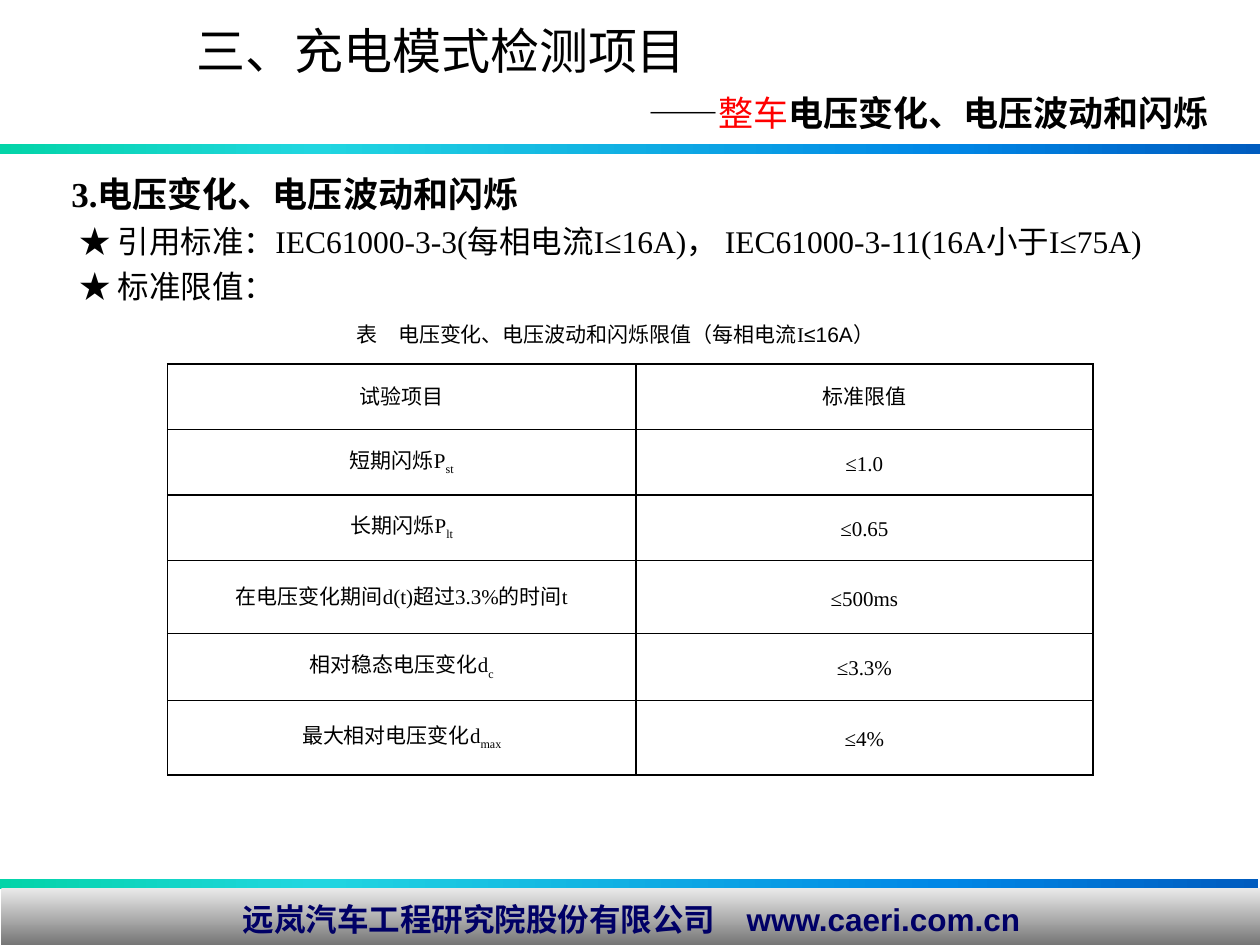
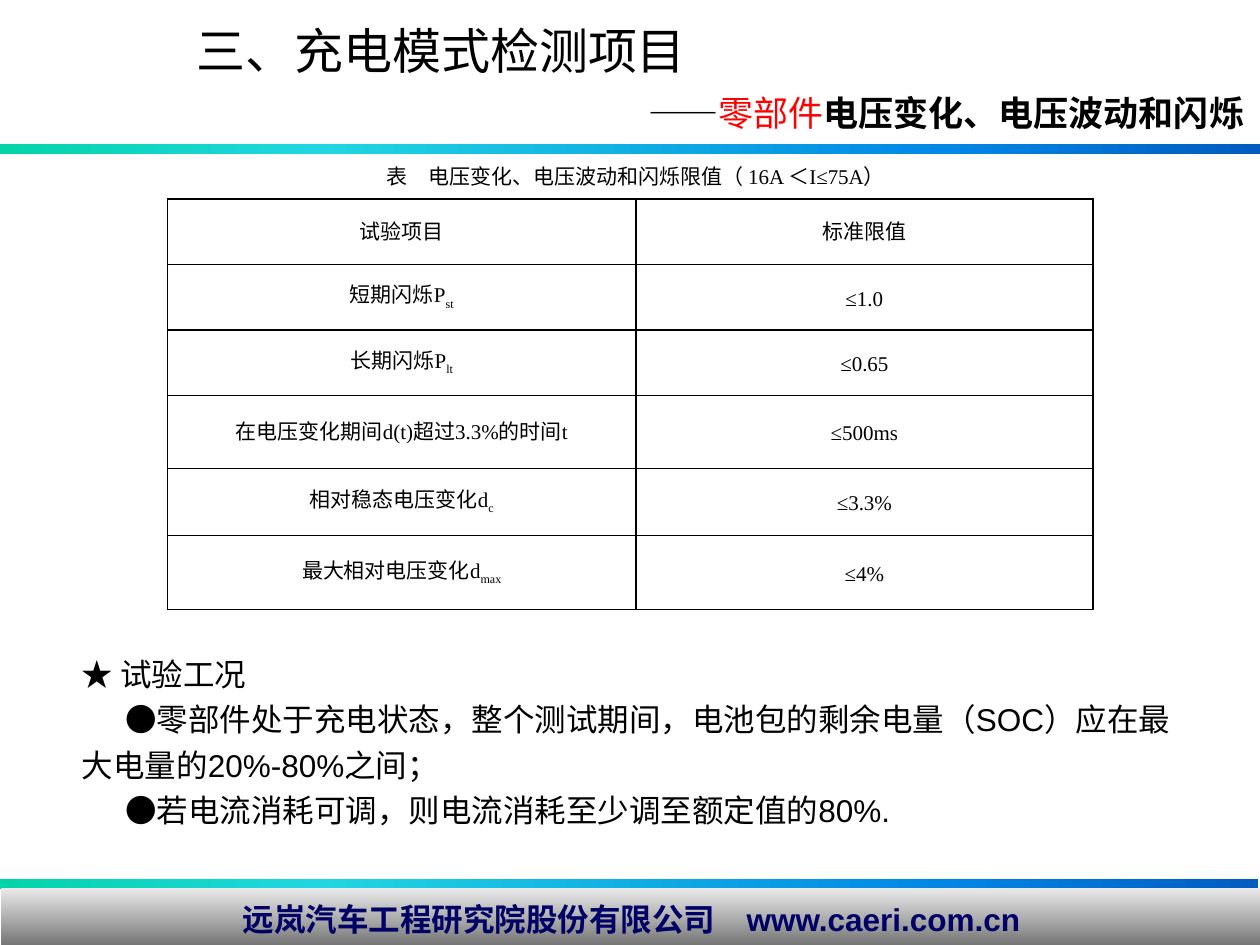
from lxml import etree
from pptx import Presentation
from pptx import util as u
from pptx.dml.color import RGBColor
from pptx.enum import shapes, text
from pptx.oxml.ns import qn

Cm, Pt = u.Cm, u.Pt
BLACK = RGBColor(0, 0, 0)
RED = RGBColor(0xFF, 0, 0)
NAVY = RGBColor(0, 0, 0x66)
RAINBOW = [(0, "03D4A8"), (25, "21D6E0"), (75, "0087E6"), (100, "005CBF")]
SILVER = [(0, "EAEAEA"), (100, "6C6C6C")]
SERIF, SANS, TITLE_FONT = "Times New Roman", "Arial", "Calibri"
TOPIC = "电压变化、电压波动和闪烁"

LIMITS = [
    ("试验项目", "", "标准限值"),
    ("短期闪烁P", "st", "≤1.0"),
    ("长期闪烁P", "lt", "≤0.65"),
    ("在电压变化期间d(t)超过3.3%的时间t", "", "≤500ms"),
    ("相对稳态电压变化d", "c", "≤3.3%"),
    ("最大相对电压变化d", "max", "≤4%"),
]
COLUMN_WIDTHS = [9.44, 9.21]
ROW_HEIGHTS = [1.32, 1.32, 1.32, 1.47, 1.35, 1.5]

# Per slide: title width, red subject, table top, caption place and runs,
# body place and paragraphs (first-line indent, font, size, bold, text)
PAGES = [
    dict(title_width=21.11, subject="整车", table_top=7.34,
         caption_at=(6.93, 6.35, 11.51),
         caption=[("表　电压变化、电压波动和闪烁限值（每相电流", SANS), ("I", SERIF), ("≤16A）", SANS)],
         body_at=(1.19, 3.18, 22.63, 3.12),
         body=[(0, SERIF, 20, True, "3." + TOPIC),
               (0.16, SERIF, 18, False,
                "★ 引用标准：IEC61000-3-3(每相电流I≤16A)， IEC61000-3-11(16A小于I≤75A)"),
               (0.16, SERIF, 18, False, "★ 标准限值：")]),
    dict(title_width=21.69, subject="零部件", table_top=4.01,
         caption_at=(7.54, 3.18, 12.7),
         caption=[("表　电压变化、电压波动和闪烁限值（ ", SANS), ("16A ＜I≤75A", SERIF), ("）", SANS)],
         body_at=(1.4, 12.93, 22.63, 3.96),
         body=[(0, SANS, 18, False, "★ 试验工况"),
               (0.88, SANS, 18, False,
                "●零部件处于充电状态，整个测试期间，电池包的剩余电量（SOC）应在最大电量的20%-80%之间；"),
               (0.88, SANS, 18, False, "●若电流消耗可调，则电流消耗至少调至额定值的80%.")]),
]


def add_span(para, words, font, size, color=BLACK, bold=False):
    span = para.add_run()
    span.text = words
    span.font.name, span.font.size, span.font.bold = font, Pt(size), bold
    span.font.color.rgb = color
    return span


def add_band(page, left, top, width, height, stops, angle):
    """Add a borderless rectangle with a linear gradient."""
    band = page.shapes.add_shape(shapes.MSO_SHAPE.RECTANGLE,
                                 Cm(left), Cm(top), Cm(width), Cm(height))
    band.shadow.inherit = False
    band.line.fill.background()
    band.fill.gradient()
    band.fill.gradient_angle = angle
    stop_list = band.element.find(".//" + qn("a:gsLst"))
    for stop in list(stop_list):
        stop_list.remove(stop)
    for position, color in stops:
        stop = etree.SubElement(stop_list, qn("a:gs"), pos=str(position * 1000))
        etree.SubElement(stop, qn("a:srgbClr"), val=color)
    return band


deck = Presentation()
deck.slide_width, deck.slide_height = Cm(25.4), Cm(19.05)
layout = deck.slide_layouts[5]
pages = [deck.slides.add_slide(layout) for _ in PAGES]

# Bands and footer are drawn once, then moved to the shared layout
footer = add_band(pages[0], 0.03, 17.91, 25.4, 1.24, SILVER, 270)
para = footer.text_frame.paragraphs[0]
para.alignment = text.PP_ALIGN.CENTER
add_span(para, "远岚汽车工程研究院股份有限公司　www.caeri.com.cn", SANS, 18, NAVY, True)
for band in (add_band(pages[0], 0, 17.73, 25.37, 0.2, RAINBOW, 0),
             add_band(pages[0], 0, 2.9, 25.4, 0.2, RAINBOW, 0),
             footer):
    layout.shapes.element.append(band.element)

for page, content in zip(pages, PAGES):
    title = page.shapes.title
    title.left, title.top = Cm(3.71), Cm(0.2)
    title.width, title.height = Cm(content["title_width"]), Cm(2.59)
    frame = title.text_frame
    frame.vertical_anchor = text.MSO_ANCHOR.TOP
    frame.auto_size = text.MSO_AUTO_SIZE.NONE
    heading, subheading = frame.paragraphs[0], frame.add_paragraph()
    for para, line_height in ((heading, 36), (subheading, 31)):
        para.alignment = text.PP_ALIGN.LEFT
        para.line_spacing = Pt(line_height)
    add_span(heading, "三、充电模式检测项目", TITLE_FONT, 28)
    subheading._p.get_or_add_pPr().set("marL", str(Cm(9.1)))
    add_span(subheading, "——", TITLE_FONT, 20)
    add_span(subheading, content["subject"], TITLE_FONT, 20, RED)
    add_span(subheading, TOPIC, SERIF, 20, bold=True)

    left, top, width = content["caption_at"]
    caption = page.shapes.add_textbox(Cm(left), Cm(top), Cm(width), Cm(0.76))
    caption.text_frame.word_wrap = True
    for words, font in content["caption"]:
        add_span(caption.text_frame.paragraphs[0], words, font, 12)

    body = page.shapes.add_textbox(*map(Cm, content["body_at"]))
    frame = body.text_frame
    frame.word_wrap = True
    for number, (indent, font, size, bold, words) in enumerate(content["body"]):
        para = frame.add_paragraph() if number else frame.paragraphs[0]
        para.line_spacing = 1.2
        para._p.get_or_add_pPr().set("indent", str(Cm(indent)))
        add_span(para, words, font, size, bold=bold)

    table = page.shapes.add_table(len(LIMITS), 2, Cm(3.38), Cm(content["table_top"]),
                                  Cm(sum(COLUMN_WIDTHS)), Cm(sum(ROW_HEIGHTS))).table
    table.first_row = table.horz_banding = False
    for column, width in zip(table.columns, COLUMN_WIDTHS):
        column.width = Cm(width)
    for row, height, (item, subscript, limit) in zip(table.rows, ROW_HEIGHTS, LIMITS):
        row.height = Cm(height)
        for cell, words in zip(row.cells, (item, limit)):
            cell.vertical_anchor = text.MSO_ANCHOR.MIDDLE
            cell.margin_left = cell.margin_right = Cm(0.18)
            cell.margin_top = cell.margin_bottom = 0
            properties = cell._tc.get_or_add_tcPr()
            for side in ("a:lnL", "a:lnR", "a:lnT", "a:lnB"):
                border = etree.SubElement(properties, qn(side), w=str(Pt(1)))
                fill = etree.SubElement(border, qn("a:solidFill"))
                etree.SubElement(fill, qn("a:srgbClr"), val=str(BLACK))
            cell.fill.background()
            para = cell.text_frame.paragraphs[0]
            para.alignment = text.PP_ALIGN.CENTER
            para.line_spacing = Pt(15.6)
            add_span(para, words, SERIF, 12)
        if subscript:
            span = add_span(row.cells[0].text_frame.paragraphs[0], subscript, SERIF, 12)
            span._r.get_or_add_rPr().set("baseline", "-25000")

deck.save("out.pptx")
